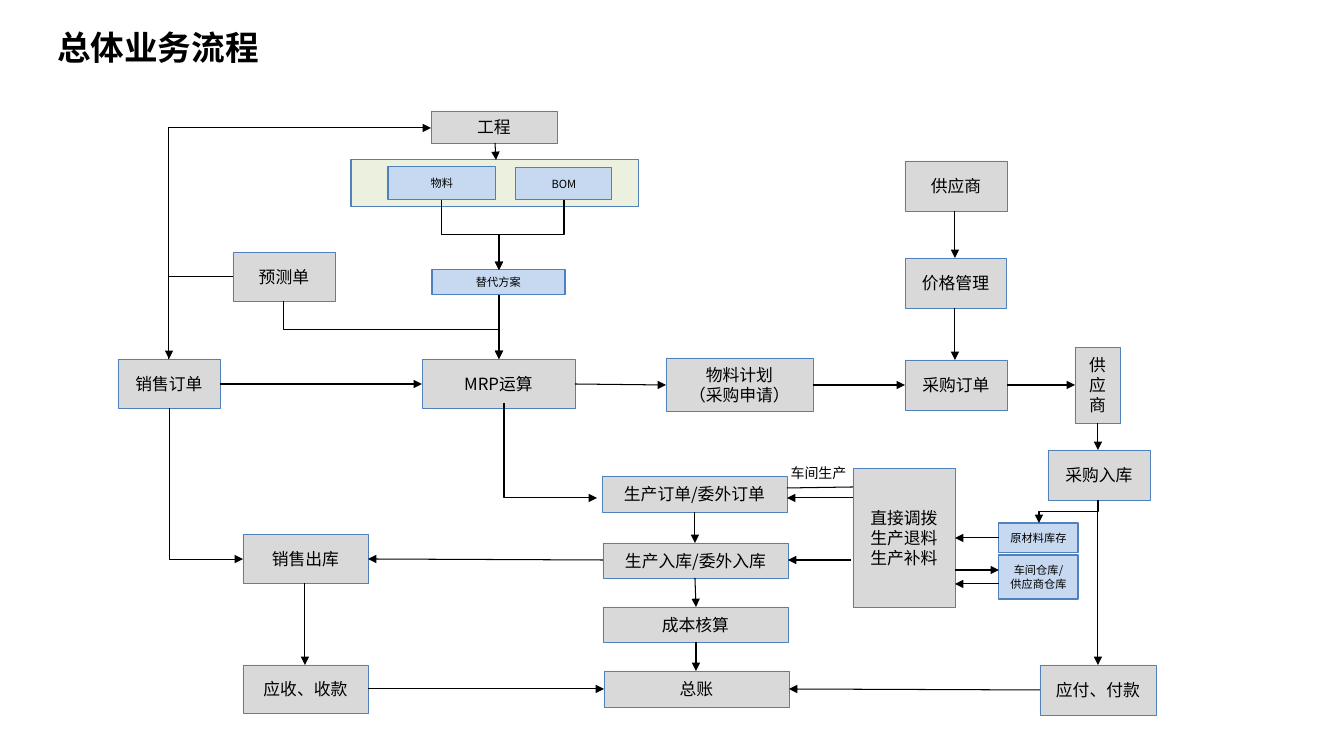
import pptx
import pptx.dml.color
import pptx.enum.shapes
import pptx.enum.text
import pptx.oxml.ns
import pptx.util
import lxml.etree

RGBColor = pptx.dml.color.RGBColor
BLACK = RGBColor(0x00, 0x00, 0x00)
GREY = RGBColor(0xD9, 0xD9, 0xD9)
BLUE = RGBColor(0xC6, 0xD9, 0xF1)
GREEN = RGBColor(0xEB, 0xF1, 0xDE)
OUTLINE = RGBColor(0x4F, 0x81, 0xBD)

FONT = "Noto Sans CJK SC"
SHAPES = pptx.enum.shapes.MSO_SHAPE
CONNECTORS = pptx.enum.shapes.MSO_CONNECTOR
ANCHOR = pptx.enum.text.MSO_ANCHOR
ALIGN = pptx.enum.text.PP_ALIGN
EMU_PER_PX = 914400 / 100.8

STEP = {"kind": SHAPES.RECTANGLE, "fill": GREY, "width": 0.5, "size": 12, "wrap": True}
DATA = {"kind": SHAPES.FLOWCHART_PROCESS, "fill": BLUE, "width": 0.75, "size": 8, "wrap": False}
GROUP = {"kind": SHAPES.RECTANGLE, "fill": GREEN, "width": 0.75, "size": 8, "wrap": True}

STEPS = [
    ("销售订单", 118, 359, 102, 49),
    ("销售出库", 243, 534, 125, 49),
    ("MRP运算", 422, 359, 153, 49),
    ("生产订单/委外订单", 602, 476, 185, 36),
    ("物料计划\n（采购申请）", 666, 358, 147, 53),
    ("采购订单", 905, 360, 102, 50),
    ("生产入库/委外入库", 603, 543, 185, 35),
    ("供应商", 1075, 347, 45, 76),
    ("工程", 431, 111, 126, 32),
    ("直接调拨\n生产退料\n生产补料", 853, 468, 102, 139),
    ("成本核算", 603, 607, 185, 35),
    ("总账", 604, 671, 185, 36),
    ("应收、收款", 243, 665, 125, 48),
    ("供应商", 905, 161, 102, 50),
    ("价格管理", 905, 258, 101, 50),
    ("采购入库", 1048, 450, 102, 50),
    ("应付、付款", 1040, 665, 116, 50),
    ("预测单", 233, 252, 102, 49),
]

DATA_BOXES = [
    ("物料", 388, 167, 108, 33),
    ("BOM", 516, 168, 96, 32),
    ("替代方案", 432, 270, 133, 25),
    ("原材料库存", 999, 523, 79, 29),
    ("车间仓库/\n供应商仓库", 999, 555, 79, 44),
]

ARROWS = [
    (495, 143, 496, 160),
    (499, 295, 499, 359),
    (220, 384, 422, 384),
    (575, 384, 666, 385),
    (813, 385, 905, 385),
    (1007, 385, 1075, 385),
    (955, 211, 955, 258),
    (955, 308, 955, 360),
    (1098, 423, 1098, 450),
    (1098, 500, 1098, 665),
    (853, 498, 787, 498),
    (695, 512, 695, 543),
    (695, 578, 696, 607),
    (696, 642, 696, 671),
    (851, 560, 788, 560),
    (603, 560, 368, 559),
    (999, 538, 955, 538),
    (955, 570, 999, 570),
    (999, 584, 955, 584),
    (305, 583, 305, 665),
    (368, 689, 604, 689),
    (1040, 690, 789, 689),
]

DOWN_AND_OVER = [
    (169, 359, 431, 128),
    (169, 408, 243, 559),
    (504, 403, 597, 498),
]

STEPPED = [
    (442, 200, 499, 270),
    (564, 200, 499, 270),
    (284, 301, 499, 359),
    (1098, 500, 1039, 523),
]


def px(length):
    return pptx.util.Emu(round(length * EMU_PER_PX))


def apply(target, values):
    for name, value in values.items():
        setattr(target, name, value)


class FlowPage:
    def __init__(self, deck):
        self.page = deck.slides.add_slide(deck.slide_layouts[5])
        self.shapes = self.page.shapes

    def set_text(self, frame, text, size, frame_format, para_format, bold=False):
        apply(frame, frame_format)
        frame.text = text
        for para in frame.paragraphs:
            apply(para, para_format)
            for span in para.runs:
                apply(span.font, {"name": FONT, "size": pptx.util.Pt(size), "bold": bold})
                span.font.color.rgb = BLACK
                east_asian = lxml.etree.SubElement(
                    span.font._element, pptx.oxml.ns.qn("a:ea"))
                east_asian.set("typeface", FONT)

    def title(self, text, left, top, width, height):
        box = self.shapes.title
        apply(box, {"left": px(left), "top": px(top), "width": px(width), "height": px(height)})
        frame_format = {"vertical_anchor": ANCHOR.MIDDLE, "word_wrap": True,
                        "auto_size": pptx.enum.text.MSO_AUTO_SIZE.NONE}
        self.set_text(box.text_frame, text, 24, frame_format,
                      {"alignment": ALIGN.LEFT, "line_spacing": 0.9}, bold=True)

    def box(self, style, text, left, top, width, height):
        box = self.shapes.add_shape(style["kind"], px(left), px(top), px(width), px(height))
        box.shadow.inherit = False
        box.fill.solid()
        box.fill.fore_color.rgb = style["fill"]
        box.line.color.rgb = OUTLINE
        box.line.width = pptx.util.Pt(style["width"])
        if text:
            self.set_text(box.text_frame, text, style["size"],
                          {"vertical_anchor": ANCHOR.MIDDLE, "word_wrap": style["wrap"]},
                          {"alignment": ALIGN.CENTER})

    def label(self, text, left, top, width, height):
        box = self.shapes.add_textbox(px(left), px(top), px(width), px(height))
        self.set_text(box.text_frame, text, 10, {"word_wrap": True}, {"alignment": ALIGN.CENTER})

    def line(self, x1, y1, x2, y2, kind=CONNECTORS.STRAIGHT, head=True):
        line = self.shapes.add_connector(kind, px(x1), px(y1), px(x2), px(y2))
        line.line.color.rgb = BLACK
        line.line.width = pptx.util.Pt(0.75)
        properties = line._element.spPr
        if head:
            tail = lxml.etree.SubElement(properties.ln, pptx.oxml.ns.qn("a:tailEnd"))
            tail.set("type", "triangle")
        lxml.etree.SubElement(properties, pptx.oxml.ns.qn("a:effectLst"))
        return properties

    def elbow(self, x1, y1, x2, y2, bends, vertical=True):
        rotation = 0
        if vertical:
            middle_x, middle_y = (x1 + x2) / 2, (y1 + y2) / 2
            along = abs(y2 - y1) / 2
            across = (x1 - x2 if y2 > y1 else x2 - x1) / 2
            rotation = 90 if y2 > y1 else 270
            x1, x2 = middle_x - along, middle_x + along
            y1, y2 = middle_y - across, middle_y + across
        properties = self.line(x1, y1, x2, y2, CONNECTORS.ELBOW)
        properties.find(pptx.oxml.ns.qn("a:prstGeom")).set("prst", f"bentConnector{bends + 1}")
        if rotation:
            properties.find(pptx.oxml.ns.qn("a:xfrm")).set("rot", str(rotation * 60000))


def main():
    deck = pptx.Presentation()
    apply(deck, {"slide_width": px(1344), "slide_height": px(756)})
    flow = FlowPage(deck)
    flow.title("总体业务流程", 47, 15, 1091, 69)
    flow.box(GROUP, "", 351, 160, 288, 47)
    for step in STEPS:
        flow.box(STEP, *step)
    for data_box in DATA_BOXES:
        flow.box(DATA, *data_box)
    flow.label("车间生产", 776, 460, 85, 27)
    flow.line(787, 488, 853, 487, head=False)
    for arrow in ARROWS:
        flow.line(*arrow)
    for route in DOWN_AND_OVER:
        flow.elbow(*route, bends=1)
    for route in STEPPED:
        flow.elbow(*route, bends=2)
    flow.elbow(233, 277, 169, 359, bends=1, vertical=False)
    deck.save("out.pptx")


if __name__ == "__main__":
    main()
